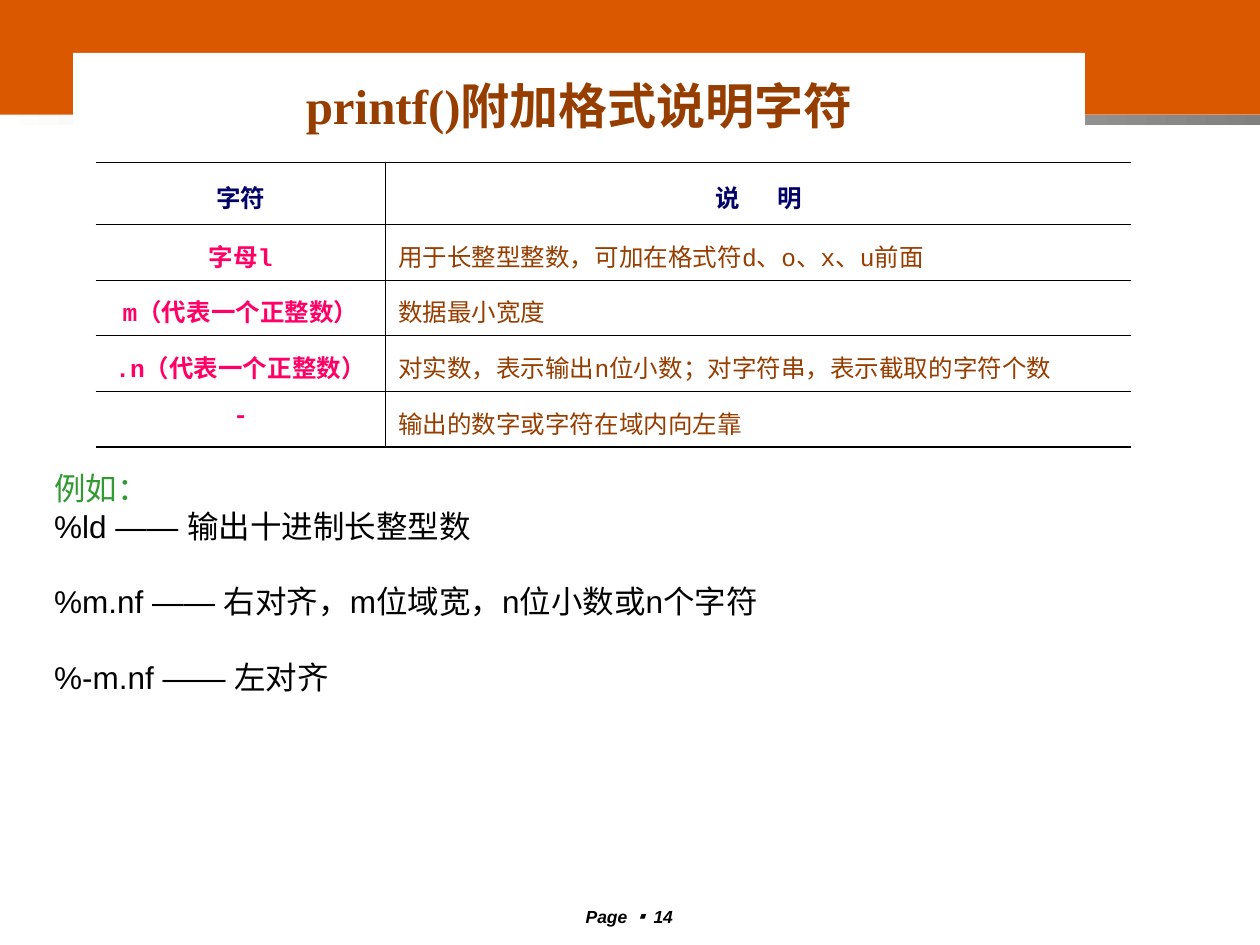
"""Build the slide on the additional format characters of printf()."""
from dataclasses import dataclass
from typing import NamedTuple

import lxml.etree
import pptx
import pptx.dml.color
import pptx.enum.shapes
import pptx.enum.text
import pptx.oxml.ns
import pptx.util

Inches = pptx.util.Inches
Pt = pptx.util.Pt
Align = pptx.enum.text.PP_ALIGN
Anchor = pptx.enum.text.MSO_ANCHOR
qn = pptx.oxml.ns.qn


@dataclass(frozen=True)
class Theme:
    orange: str = "DA5800"
    brown: str = "963D00"
    navy: str = "000066"
    pink: str = "FF0066"
    green: str = "339933"
    gray: str = "808080"
    white: str = "FFFFFF"
    black: str = "000000"
    title_font: str = "Times New Roman"
    body_font: str = "Arial"
    code_font: str = "Courier New"
    symbol_font: str = "Noto Sans CJK JP"
    title_size: float = 28
    body_size: float = 18
    table_size: float = 14
    footer_size: float = 10
    thin: float = 0.45
    thick: float = 1.08


class Box(NamedTuple):
    left: float
    top: float
    width: float
    height: float

    def lengths(self) -> list:
        return [Inches(value) for value in self]


class FormatRow(NamedTuple):
    character: str
    meaning: str


class Example(NamedTuple):
    text: str
    color: str
    gap: float


THEME = Theme()
TITLE_BOX = Box(0.58, 0.42, 8.03, 4.86)
BODY_BOX = Box(0.33, 3.67, 9.33, 2.17)
FOOTER_BOX = Box(4.21, 7.14, 1.57, 0.22)
ORANGE_BAND = Box(0, 0, 10.04, 0.91)
GRAY_BAND = Box(0, 0.91, 10.04, 0.08)
TABLE_BOX = Box(0.76, 1.29, 8.22, 2.09)
COLUMN_WIDTHS = (2.3, 5.92)
HEADER_HEIGHT, ROW_HEIGHT = 0.49, 0.4
HEADER_GAP = 18
ROWS = (
    FormatRow("字母l", "用于长整型整数，可加在格式符d、o、x、u前面"),
    FormatRow("m（代表一个正整数）", "数据最小宽度"),
    FormatRow(".n（代表一个正整数）", "对实数，表示输出n位小数；对字符串，表示截取的字符个数"),
    FormatRow("-", "输出的数字或字符在域内向左靠"),
)
EXAMPLES = (
    Example("例如：", THEME.green, 0),
    Example("%ld —— 输出十进制长整型数", THEME.black, 0),
    Example("%m.nf —— 右对齐，m位域宽，n位小数或n个字符", THEME.black, 21.6),
    Example("%-m.nf —— 左对齐", THEME.black, 21.6),
)


def rgb(color: str) -> pptx.dml.color.RGBColor:
    return pptx.dml.color.RGBColor.from_string(color)


def write(paragraph, text: str, *, size: float, font: str, color: str,
          bold: bool = False, italic: bool = False, align=Align.LEFT,
          line_spacing: float = 1.0, before: float = 0, tracking: float = 0) -> None:
    paragraph.alignment = align
    paragraph.line_spacing = line_spacing
    paragraph.space_before = Pt(before)
    run = paragraph.add_run()
    run.text = text
    run.font.size = Pt(size)
    run.font.name = font
    run.font.bold = bold
    run.font.italic = italic
    run.font.color.rgb = rgb(color)
    if tracking:
        run.font._element.set("spc", str(int(tracking * 100)))


def place(shape, box: Box) -> None:
    shape.left, shape.top, shape.width, shape.height = box.lengths()


def prepare(frame) -> None:
    frame.word_wrap = True
    frame.auto_size = pptx.enum.text.MSO_AUTO_SIZE.NONE
    frame.vertical_anchor = Anchor.TOP


def add_band(slide, box: Box, colors: tuple[str, ...]) -> None:
    band = slide.shapes.add_shape(pptx.enum.shapes.MSO_SHAPE.RECTANGLE, *box.lengths())
    band.shadow.inherit = False
    band.line.fill.background()
    if len(colors) == 1:
        band.fill.solid()
        band.fill.fore_color.rgb = rgb(colors[0])
    else:
        band.fill.gradient()
        band.fill.gradient_angle = 180
        for stop, color in zip(band.fill.gradient_stops, colors):
            stop.color.rgb = rgb(color)
    slide.shapes.title.element.addprevious(band.element)


def fill_title(slide) -> None:
    title = slide.shapes.title
    place(title, TITLE_BOX)
    title.fill.solid()
    title.fill.fore_color.rgb = rgb(THEME.white)
    prepare(title.text_frame)
    title.text_frame.margin_top = Inches(0.18)
    write(title.text_frame.paragraphs[0], "printf()附加格式说明字符", size=THEME.title_size,
          font=THEME.title_font, color=THEME.brown, bold=True, align=Align.CENTER)


def fill_examples(slide) -> None:
    body = slide.placeholders[1]
    place(body, BODY_BOX)
    frame = body.text_frame
    prepare(frame)
    for index, example in enumerate(EXAMPLES):
        paragraph = frame.add_paragraph() if index else frame.paragraphs[0]
        properties = paragraph._p.get_or_add_pPr()
        properties.set("marL", str(Inches(0.38)))
        properties.set("indent", str(Inches(-0.38)))
        lxml.etree.SubElement(properties, qn("a:buNone"))
        write(paragraph, example.text, size=THEME.body_size, font=THEME.body_font,
              color=example.color, before=example.gap)


def set_borders(cell, widths: dict[str, float]) -> None:
    properties = cell._tc.get_or_add_tcPr()
    for side in ("L", "R", "T", "B"):
        width = widths.get(side, 0)
        line = lxml.etree.SubElement(properties, qn(f"a:ln{side}"), w=str(Pt(width)))
        fill = lxml.etree.SubElement(line, qn("a:solidFill" if width else "a:noFill"))
        if width:
            lxml.etree.SubElement(fill, qn("a:srgbClr"), val=THEME.black)
    cell.fill.background()


def add_format_table(slide) -> None:
    last = len(ROWS)
    table = slide.shapes.add_table(last + 1, len(COLUMN_WIDTHS), *TABLE_BOX.lengths()).table
    table.first_row = table.horz_banding = False
    for column, width in zip(table.columns, COLUMN_WIDTHS):
        column.width = Inches(width)
    for index, row in enumerate(table.rows):
        row.height = Inches(ROW_HEIGHT if index else HEADER_HEIGHT)
        for side, cell in zip("RL", row.cells):
            set_borders(cell, {side: THEME.thin, "T": THEME.thin if index else THEME.thick,
                               "B": THEME.thick if index == last else THEME.thin})
    style = dict(size=THEME.table_size, font=THEME.code_font, line_spacing=1.2)
    heading = dict(style, color=THEME.navy, bold=True, align=Align.CENTER)
    character_head, meaning_head = table.rows[0].cells
    character_head.vertical_anchor = meaning_head.vertical_anchor = Anchor.MIDDLE
    write(character_head.text_frame.paragraphs[0], "字符", **heading)
    for text, tracking in (("说", 0), (" ", HEADER_GAP), ("明", 0)):
        write(meaning_head.text_frame.paragraphs[0], text, tracking=tracking, **heading)
    for index, entry in enumerate(ROWS, start=1):
        write(table.cell(index, 0).text_frame.paragraphs[0], entry.character,
              color=THEME.pink, bold=True, align=Align.CENTER, **style)
        write(table.cell(index, 1).text_frame.paragraphs[0], entry.meaning,
              color=THEME.brown, **style)


def add_footer(slide) -> None:
    frame = slide.shapes.add_textbox(*FOOTER_BOX.lengths()).text_frame
    prepare(frame)
    for text, font in (("Page ", THEME.body_font), ("▪ ", THEME.symbol_font),
                       ("14", THEME.body_font)):
        write(frame.paragraphs[0], text, size=THEME.footer_size, font=font,
              color=THEME.black, bold=True, italic=True, align=Align.CENTER)


def main() -> None:
    deck = pptx.Presentation()
    deck.slide_width, deck.slide_height = Inches(10), Inches(7.5)
    slide = deck.slides.add_slide(deck.slide_layouts[1])
    add_band(slide, ORANGE_BAND, (THEME.orange,))
    add_band(slide, GRAY_BAND, (THEME.gray, THEME.white))
    fill_title(slide)
    add_format_table(slide)
    fill_examples(slide)
    add_footer(slide)
    deck.save("out.pptx")


if __name__ == "__main__":
    main()
